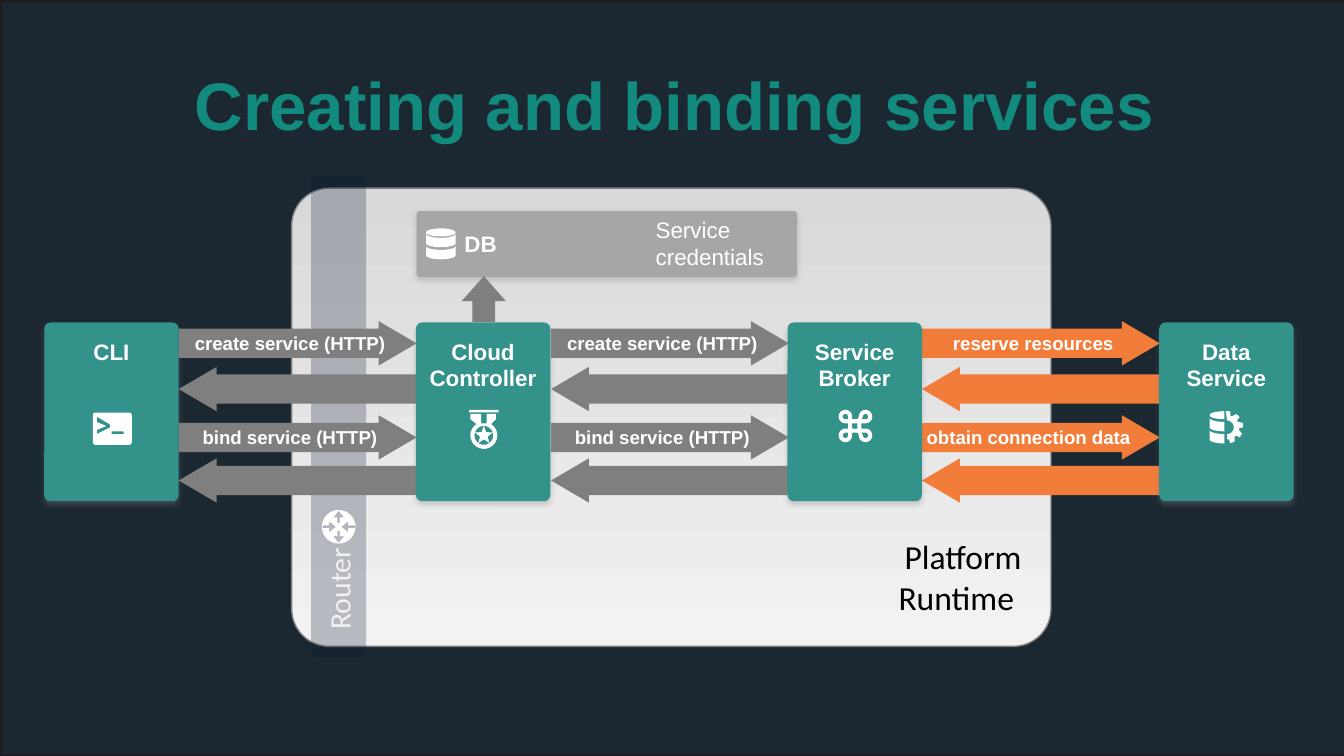
"""Build the slide that shows how services are created and bound."""
import math

import lxml.etree
import pptx
import pptx.dml.color
import pptx.enum.shapes
import pptx.enum.text
import pptx.oxml.ns
import pptx.util

Inches = pptx.util.Inches
RGB = pptx.dml.color.RGBColor.from_string
SHAPE = pptx.enum.shapes.MSO_SHAPE
ALIGN = pptx.enum.text.PP_ALIGN
ANCHOR = pptx.enum.text.MSO_ANCHOR
qn = pptx.oxml.ns.qn

COLORS = {
    "night": "1B2831", "edge": "1C1C1C", "title": "138A7E", "white": "FFFFFF",
    "black": "000000", "pale": "F2F2F2", "light": "D9D9D9", "outline": "808080",
    "router": "0A1831", "store": "A6A6A6", "request": "7F7F7F",
    "resource": "F27C3A", "component": "33928A",
}

deck = pptx.Presentation()
deck.slide_width, deck.slide_height = Inches(10), Inches(10 * 9 / 16)
slide = deck.slides.add_slide(deck.slide_layouts[6])


def add_block(kind, box, fill=None, lines=(), size=12, font="Arial", color="white", bold=True,
              align=ALIGN.CENTER, anchor=ANCHOR.MIDDLE, insets=(0.1, 0.05, 0.1, 0.05),
              wrap=True, adjust=(), turn=0, shadow=False):
    """Add a preset shape, or a text box when kind is None, with its lines of text."""
    place = [Inches(length) for length in box]
    if kind is None:
        block = slide.shapes.add_textbox(*place)
    else:
        block = slide.shapes.add_shape(kind, *place)
        block.fill.solid()
        block.fill.fore_color.rgb = RGB(COLORS[fill])
        block.line.fill.background()
        block.shadow.inherit = False
        block.rotation = turn
        for index, value in enumerate(adjust):
            block.adjustments[index] = value
    if shadow:
        effects = block.element.spPr.find(qn("a:effectLst"))
        outer = lxml.etree.SubElement(effects, qn("a:outerShdw"), blurRad="39370",
                                      dist="22860", dir="5400000", rotWithShape="0")
        tone = lxml.etree.SubElement(outer, qn("a:srgbClr"), val=COLORS["outline"])
        lxml.etree.SubElement(tone, qn("a:alpha"), val="35000")
    frame = block.text_frame
    frame.word_wrap = wrap
    frame.vertical_anchor = anchor
    frame.margin_left, frame.margin_top, frame.margin_right, frame.margin_bottom = map(Inches, insets)
    for index, line in enumerate(lines):
        paragraph = frame.add_paragraph() if index else frame.paragraphs[0]
        paragraph.alignment = align
        run = paragraph.add_run()
        run.text = line
        run.font.name, run.font.size, run.font.bold = font, pptx.util.Pt(size), bold
        run.font.color.rgb = RGB(COLORS[color])
    return block


def add_icon(contours):
    """Draw closed contours made of points (x, y) and arcs (cx, cy, rx, ry, start, end)."""
    builder = None
    for contour in contours:
        points = []
        for part in contour:
            if len(part) == 2:
                points.append(part)
                continue
            cx, cy, rx, ry, start, end = part
            steps = max(2, round(abs(end - start) / 10))
            for step in range(steps + 1):
                angle = math.radians(start + (end - start) * step / steps)
                points.append((cx + rx * math.cos(angle), cy + ry * math.sin(angle)))
        points = [(Inches(x), Inches(y)) for x, y in points]
        if builder is None:
            builder = slide.shapes.build_freeform(*points[0], scale=1.0)
        else:
            builder.move_to(*points[0])
        builder.add_line_segments(points[1:], close=True)
    icon = builder.convert_to_shape()
    icon.fill.solid()
    icon.fill.fore_color.rgb = RGB(COLORS["white"])
    icon.line.fill.background()
    icon.shadow.inherit = False


backdrop = add_block(SHAPE.RECTANGLE, (0, 0, 10.07, 10 * 9 / 16), "night")
backdrop.line.color.rgb = RGB(COLORS["edge"])
backdrop.line.width = pptx.util.Pt(2)
add_block(None, (1.22, 0.45, 7.6, 0.64), lines=["Creating and binding services"], size=36, color="title")

platform = add_block(SHAPE.ROUNDED_RECTANGLE, (2.17, 1.4, 5.65, 3.41), "light", adjust=[0.082])
platform.fill.gradient()
platform.fill.gradient_angle = 270
for stop, tone in zip(platform.fill.gradient_stops, ("light", "pale")):
    stop.color.rgb = RGB(COLORS[tone])
platform.line.color.rgb = RGB(COLORS["outline"])
platform.line.width = pptx.util.Pt(0.75)

router = add_block(SHAPE.ROUNDED_RECTANGLE, (0.73, 2.9, 3.58, 0.41), "router", ["Router"], 16,
                   "Calibri", "pale", False, ALIGN.LEFT, insets=(0.2, 0, 0, 0), wrap=False,
                   adjust=[0.087], turn=270)
router_tone = router.element.spPr.find(qn("a:solidFill"))[0]
lxml.etree.SubElement(router_tone, qn("a:alpha"), val="25000")
add_block(None, (5.84, 3.94, 1.86, 0.71), lines=["Platform", "Runtime "], size=18, font="Calibri",
          color="black", bold=False, align=ALIGN.RIGHT, anchor=ANCHOR.TOP)

hub_x, hub_y = 2.52, 3.92
router_contours = [[(hub_x, hub_y, 0.125, 0.125, 0, 360)]]
for side in (-1, 1):
    outward = [(-0.01, 0.03), (-0.01, 0.07), (-0.04, 0.07), (0, 0.12), (0.04, 0.07), (0.01, 0.07), (0.01, 0.03)]
    inward = [(0.02, 0), (0.07, 0.04), (0.07, 0.01), (0.12, 0.01), (0.12, -0.01), (0.07, -0.01), (0.07, -0.04)]
    router_contours.append([(hub_x + dx, hub_y + side * dy) for dx, dy in outward])
    router_contours.append([(hub_x + side * dx, hub_y + dy) for dx, dy in inward])
add_icon(router_contours)

add_block(SHAPE.ROUNDED_RECTANGLE, (3.1, 1.57, 2.83, 0.49), "store", ["DB"], align=ALIGN.LEFT,
          insets=(0.35, 0, 0, 0), adjust=[0.046], shadow=True)
add_icon([[(3.28, 1.73, 0.11, 0.03, 0, 360)]] + [
    [(3.28, top, 0.11, 0.03, 180, 0), (3.28, top + 0.07, 0.11, 0.03, 0, 180)] for top in (1.74, 1.83)])
add_block(None, (4.78, 1.56, 1.01, 0.5), lines=["Service", "credentials"], bold=False,
          align=ALIGN.LEFT, anchor=ANCHOR.TOP, wrap=False)

lanes = [
    (1.33, "request", "create service (HTTP)", "bind service (HTTP)", 0.07),
    (4.1, "request", "create service (HTTP)", "bind service (HTTP)", 0.07),
    (6.86, "resource", "reserve resources", "obtain connection data", 0),
]
for left, tone, create_label, bind_label, bind_inset in lanes:
    for top, label, inset, turn in [(2.73, None, 0, 180), (3.41, None, 0, 180),
                                    (2.39, create_label, 0.07, 0), (3.09, bind_label, bind_inset, 0)]:
        add_block(SHAPE.RIGHT_ARROW, (left, top, 1.77, 0.33), tone, [label] if label else [], 10,
                  insets=(inset, 0, 0, 0), adjust=[0.66, 0.854], turn=turn)

components = [["CLI"], ["Cloud Controller"], ["Service", "Broker"], ["Data", "Service"]]
for index, lines in enumerate(components):
    add_block(SHAPE.ROUNDED_RECTANGLE, (0.33 + 2.765 * index, 2.4, 1, 1.33), "component", lines,
              anchor=ANCHOR.TOP, insets=(0, 0.1, 0, 0), adjust=[0.046], shadow=True)

medal_x, medal_y = 3.6, 3.24
star = []
for tip in range(10):
    radius, angle = (0.03 if tip % 2 else 0.07), math.radians(36 * tip - 90)
    star.append((medal_x + radius * math.cos(angle), medal_y + radius * math.sin(angle)))
add_icon([
    [(3.49, 3.05), (3.71, 3.05), (3.71, 3.07), (3.49, 3.07)],
    [(3.62, 3.08), (3.69, 3.08), (3.69, 3.12), (medal_x, medal_y, 0.1, 0.1, -57, 237),
     (3.5, 3.12), (3.5, 3.08), (3.58, 3.08), (3.58, 3.15), (3.62, 3.15)],
    [(medal_x, medal_y, 0.07, 0.07, 0, 360)],
    star,
])

command_outline = []
command_holes = [[(6.34, 3.15), (6.38, 3.15), (6.38, 3.19), (6.34, 3.19)]]
for cx, cy, start, link, corner in [
    (6.29, 3.1, 90, [(6.34, 3.12), (6.38, 3.12)], (6.31, 3.12)),
    (6.44, 3.1, 180, [(6.41, 3.15), (6.41, 3.19)], (6.41, 3.12)),
    (6.44, 3.24, 270, [(6.38, 3.22), (6.34, 3.22)], (6.41, 3.22)),
    (6.29, 3.24, 0, [(6.31, 3.19), (6.31, 3.15)], (6.31, 3.22)),
]:
    command_outline += [(cx, cy, 0.05, 0.05, start, start + 270)] + link
    command_holes.append([(cx, cy, 0.02, 0.02, start, start + 270), corner])
add_icon([command_outline] + command_holes)

add_icon([
    [(0.71, 3.09, 0.02, 0.02, 180, 270), (0.96, 3.09, 0.02, 0.02, 270, 360),
     (0.96, 3.29, 0.02, 0.02, 0, 90), (0.71, 3.29, 0.02, 0.02, 90, 180)],
    [(0.83, 3.21), (0.83, 3.23), (0.92, 3.23), (0.92, 3.21)],
    [(0.72, 3.1), (0.72, 3.14), (0.79, 3.17), (0.72, 3.2), (0.72, 3.23), (0.82, 3.18), (0.82, 3.16)],
])

gear_x, gear_y = 9.13, 3.18
gear = []
for tooth in range(-86, 71, 39):
    gear += [(gear_x, gear_y, 0.12, 0.12, tooth - 8, tooth + 8),
             (gear_x, gear_y, 0.09, 0.09, tooth + 12, tooth + 20)]
gear.append((gear_x, gear_y, 0.05, 0.05, 90, -90))
add_icon([gear, [(9.11, 3.09, 0.11, 0.03, 90, 270)]] + [
    [(9.11, top, 0.11, 0.03, 180, 90), (9.11, top + 0.07, 0.11, 0.03, 90, 180)] for top in (3.11, 3.2)])

add_block(SHAPE.RIGHT_ARROW, (3.43, 2.06, 0.34, 0.33), "request", adjust=[0.51, 0.564], turn=270)
deck.save("out.pptx")
